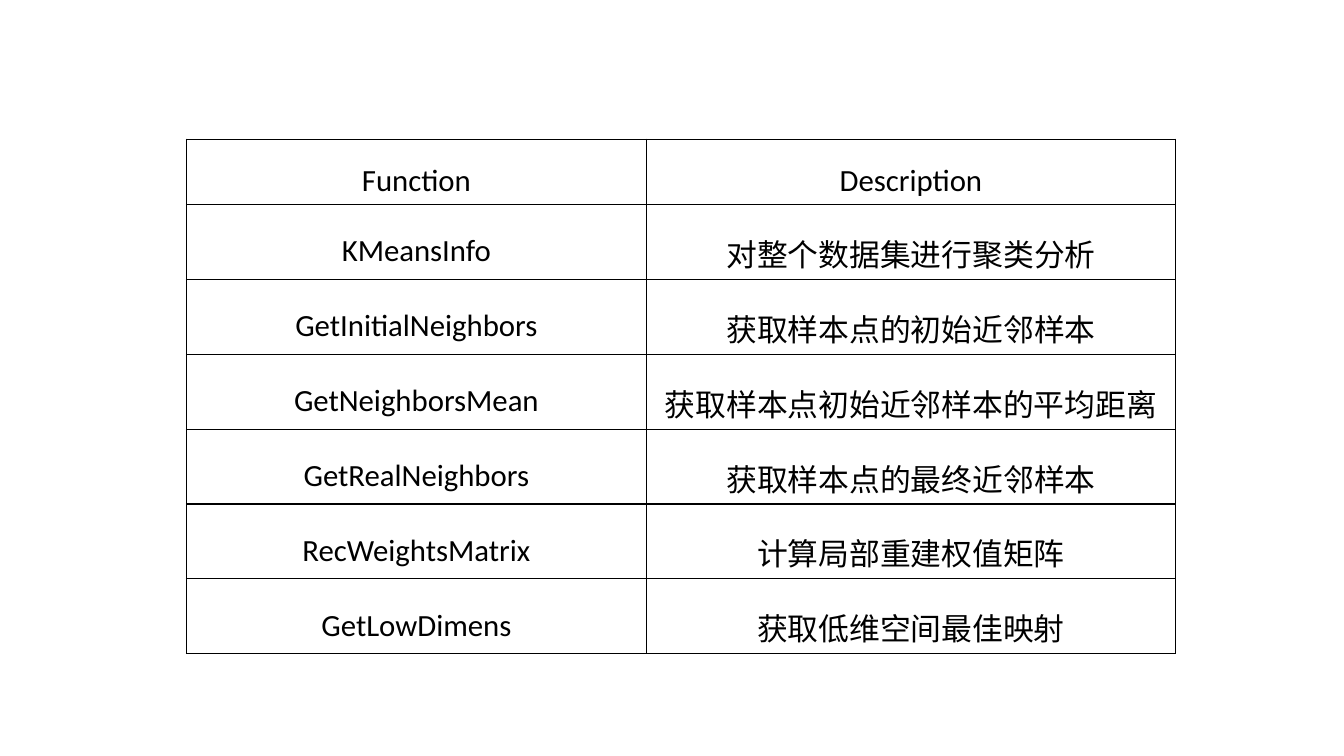
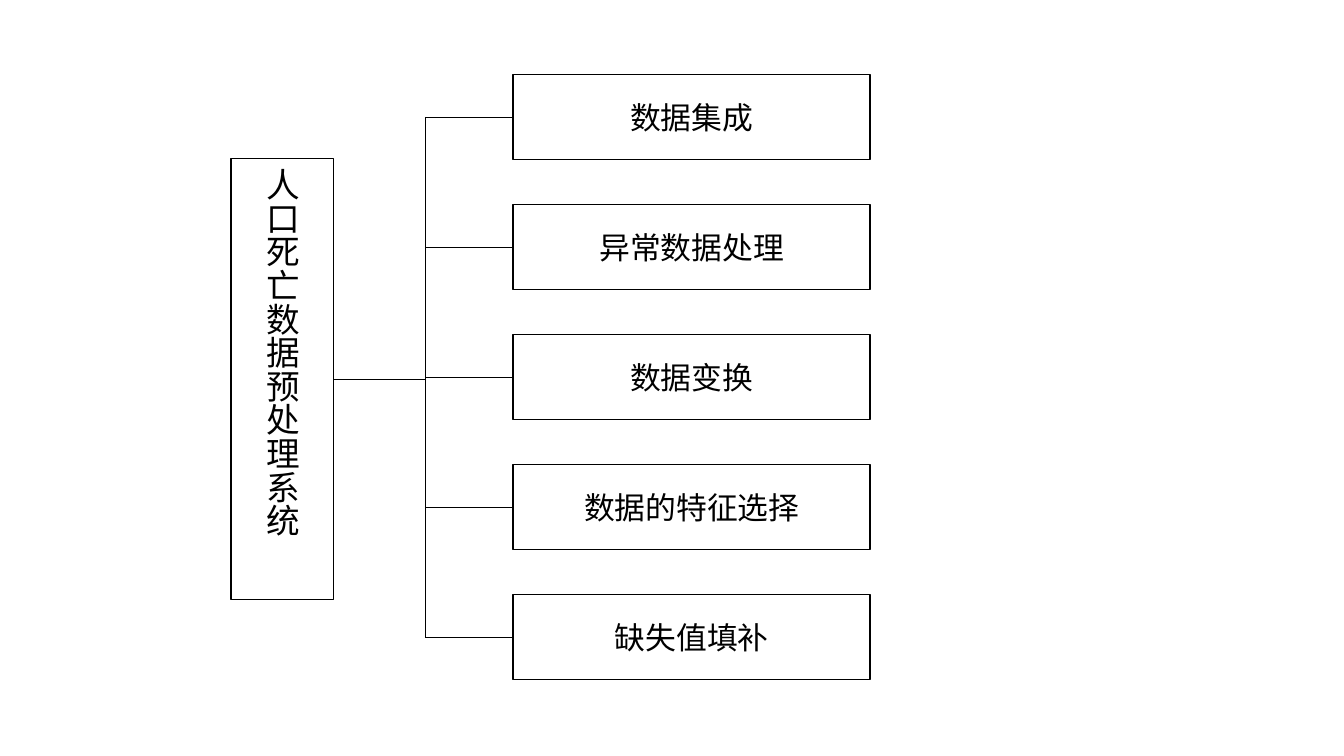
from lxml.etree import SubElement
from pptx import Presentation
from pptx.dml.color import RGBColor
from pptx.enum.shapes import MSO_CONNECTOR, MSO_SHAPE
from pptx.enum.text import MSO_ANCHOR, PP_ALIGN
from pptx.oxml.ns import qn
from pptx.util import Inches, Pt

COLORS = {"ink": "000000", "paper": "FFFFFF"}
FONT = "Calibri"
BLANK_LAYOUT = 6

FUNCTION_ROWS = [
    ("Function", "Description"),
    ("KMeansInfo", "对整个数据集进行聚类分析"),
    ("GetInitialNeighbors", "获取样本点的初始近邻样本"),
    ("GetNeighborsMean", "获取样本点初始近邻样本的平均距离"),
    ("GetRealNeighbors", "获取样本点的最终近邻样本"),
    ("RecWeightsMatrix", "计算局部重建权值矩阵"),
    ("GetLowDimens", "获取低维空间最佳映射"),
]
SYSTEM = "人口死亡数据预处理系统"
STEPS = ["数据集成", "异常数据处理", "数据变换", "数据的特征选择", "缺失值填补"]


def color(name):
    return RGBColor.from_string(COLORS[name])


class Deck:
    """Holds the shared style and the slide being drawn."""

    def __init__(self):
        self.presentation = Presentation()
        self.presentation.slide_width = Inches(13.33)
        self.presentation.slide_height = Inches(7.5)
        self.slide = None

    def new_slide(self):
        layout = self.presentation.slide_layouts[BLANK_LAYOUT]
        self.slide = self.presentation.slides.add_slide(layout)

    def set_text(self, text_frame, text, size, line_spacing=None):
        text_frame.text = text
        paragraph = text_frame.paragraphs[0]
        paragraph.alignment = PP_ALIGN.CENTER
        paragraph.line_spacing = line_spacing
        paragraph.font.name = FONT
        paragraph.font.size = Pt(size)
        paragraph.font.color.rgb = color("ink")

    def border(self, cell, width=1):
        properties = cell._tc.get_or_add_tcPr()
        for side in ("a:lnL", "a:lnR", "a:lnT", "a:lnB"):
            line = SubElement(properties, qn(side), w=str(Pt(width)))
            fill = SubElement(line, qn("a:solidFill"))
            SubElement(fill, qn("a:srgbClr"), val=COLORS["ink"])

    def table(self, rows, left, top, column_widths, row_height):
        table = self.slide.shapes.add_table(
            len(rows), len(column_widths), Inches(left), Inches(top),
            Inches(sum(column_widths)), Inches(row_height * len(rows))).table
        table.first_row = False
        table.horz_banding = False
        for column, width in zip(table.columns, column_widths):
            column.width = Inches(width)
        for row, texts in zip(table.rows, rows):
            for cell, text in zip(row.cells, texts):
                self.border(cell)
                cell.fill.solid()
                cell.fill.fore_color.rgb = color("paper")
                cell.vertical_anchor = MSO_ANCHOR.MIDDLE
                cell.margin_top = cell.margin_bottom = Inches(0.04)
                self.set_text(cell.text_frame, text, 22, line_spacing=1.5)

    def box(self, text, left, top, width, height, size=22, vertical=False):
        shape = self.slide.shapes.add_shape(
            MSO_SHAPE.RECTANGLE, Inches(left), Inches(top),
            Inches(width), Inches(height))
        shape.shadow.inherit = False
        shape.fill.background()
        shape.line.color.rgb = color("ink")
        shape.line.width = Pt(1)
        self.set_text(shape.text_frame, text, size)
        shape.text_frame.vertical_anchor = MSO_ANCHOR.MIDDLE
        if vertical:
            shape.text_frame._txBody.bodyPr.set("vert", "eaVert")

    def line(self, start_x, start_y, end_x, end_y):
        connector = self.slide.shapes.add_connector(
            MSO_CONNECTOR.STRAIGHT, Inches(start_x), Inches(start_y),
            Inches(end_x), Inches(end_y))
        connector.line.color.rgb = color("ink")
        connector.line.width = Pt(0.5)
        SubElement(connector._element.spPr, qn("a:effectLst"))


def function_slide(deck):
    deck.new_slide()
    deck.table(FUNCTION_ROWS, left=1.85, top=1.38,
               column_widths=[4.56, 5.25], row_height=0.65)


def system_slide(deck):
    deck.new_slide()
    system_left, system_top, system_width, system_height = 2.29, 1.57, 1.02, 4.38
    step_left, step_top, step_width, step_height, pitch = 5.09, 0.74, 3.54, 0.84, 1.29
    trunk_x = 4.22

    deck.box(SYSTEM, system_left, system_top, system_width, system_height,
             size=24, vertical=True)
    middles = []
    for index, step in enumerate(STEPS):
        top = step_top + index * pitch
        middle = top + step_height / 2
        middles.append(middle)
        deck.box(step, step_left, top, step_width, step_height)
        deck.line(trunk_x, middle, step_left, middle)
    deck.line(trunk_x, middles[0], trunk_x, middles[-1])
    system_middle = system_top + system_height / 2
    deck.line(system_left + system_width, system_middle, trunk_x, system_middle)


def main():
    deck = Deck()
    function_slide(deck)
    system_slide(deck)
    deck.presentation.save("out.pptx")


if __name__ == "__main__":
    main()
